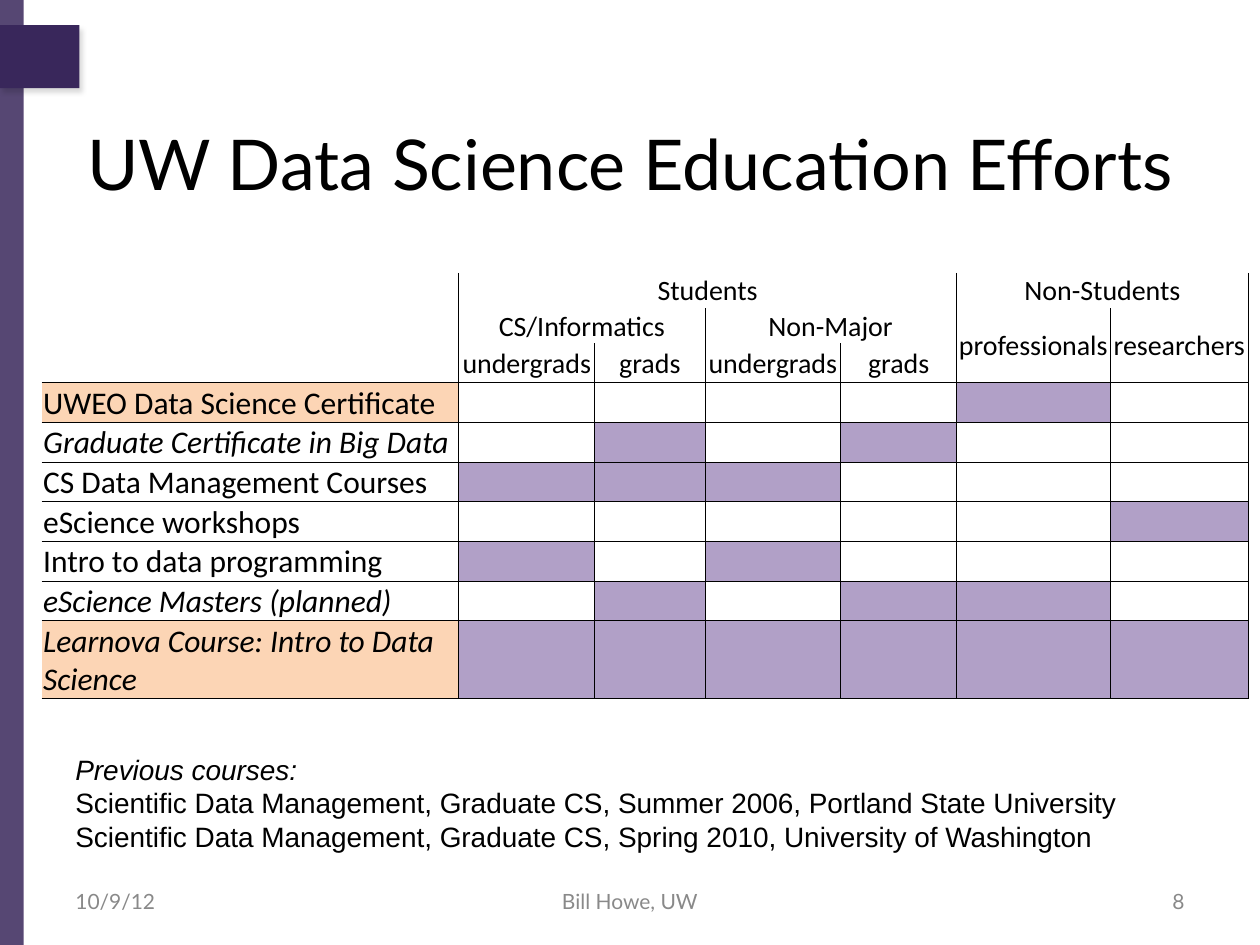
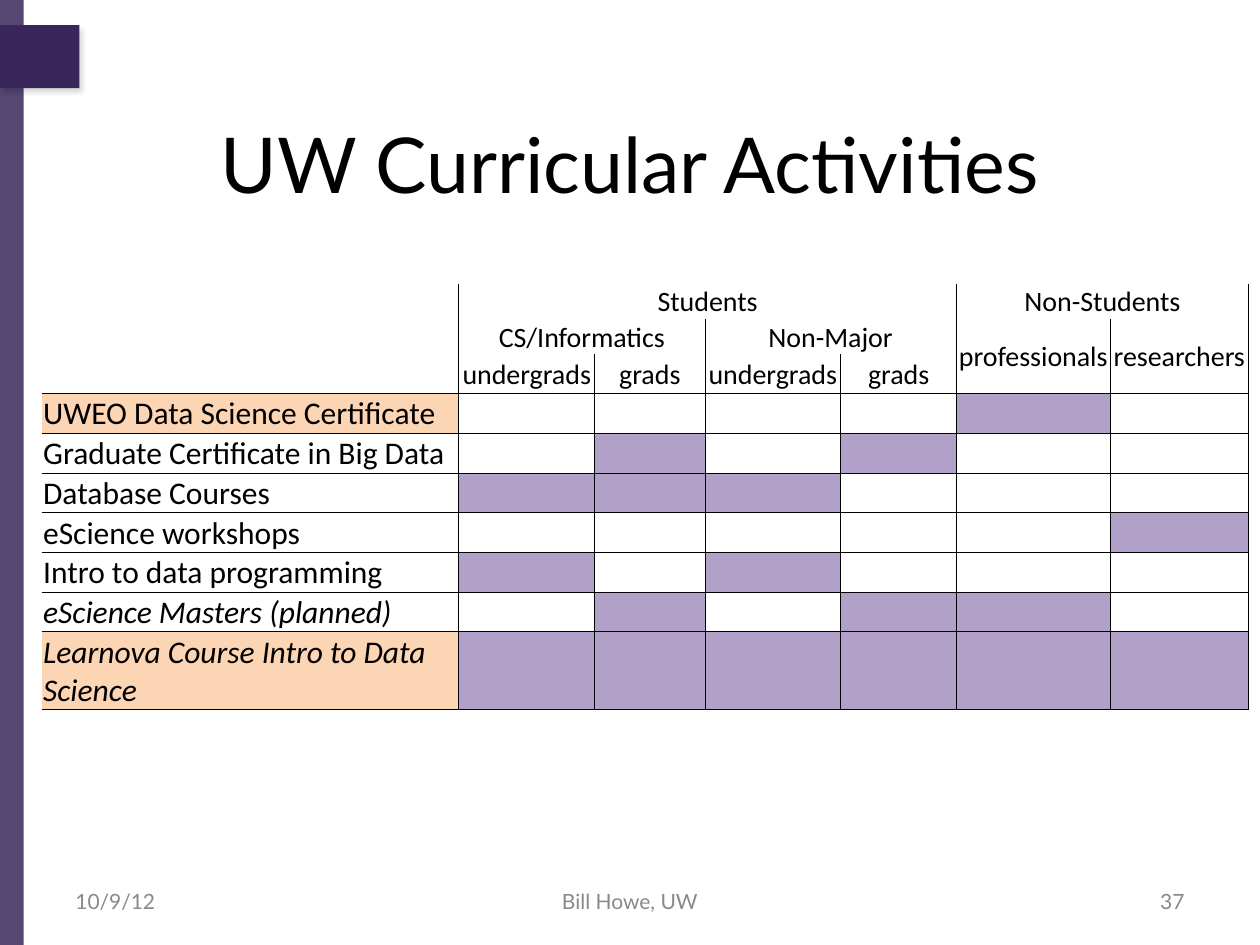
from lxml import etree
from pptx import Presentation
from pptx.dml.color import RGBColor
from pptx.enum.shapes import MSO_SHAPE
from pptx.enum.text import MSO_ANCHOR as ANCHOR, PP_ALIGN as ALIGN
from pptx.oxml.ns import qn
from pptx.util import Cm, Pt

COLORS = {
    "purple": "39275B",
    "covered": "B1A0C7",
    "highlight": "FCD5B5",
    "black": "000000",
    "footer": "898989",
}
NO_GRID_STYLE = "{2D5ABB26-0587-4C30-8999-92F81FD0307C}"
COLUMN_WIDTHS = [8.41, 2.74, 2.22, 2.74, 2.33, 3.1, 2.79]
HEADER_ROWS = 3
HEADER_HEIGHT, COURSE_HEIGHT, LAST_HEIGHT = 0.71, 0.8, 1.57
LAST_COLUMN = len(COLUMN_WIDTHS) - 1

# (row, column, row span, column span, label)
AUDIENCES = [
    (0, 0, 3, 1, ""),
    (0, 1, 1, 4, "Students"),
    (0, 5, 1, 2, "Non-Students"),
    (1, 1, 1, 2, "CS/Informatics"),
    (1, 3, 1, 2, "Non-Major"),
    (1, 5, 2, 1, "professionals"),
    (1, 6, 2, 1, "researchers"),
    (2, 1, 1, 1, "undergrads"),
    (2, 2, 1, 1, "grads"),
    (2, 3, 1, 1, "undergrads"),
    (2, 4, 1, 1, "grads"),
]
COVERAGE = [{5}, {2, 4}, {1, 2, 3}, {6}, {1, 3}, {2, 4, 5}, {1, 2, 3, 4, 5, 6}]
HIGHLIGHTED = {0, 6}

EFFORTS = [
    "UWEO Data Science Certificate",
    "Graduate Certificate in Big Data",
    "CS Data Management Courses",
    "eScience workshops",
    "Intro to data programming",
    "eScience Masters (planned)",
    "Learnova Course: Intro to Data Science",
]
ACTIVITIES = [
    "UWEO Data Science Certificate",
    "Graduate Certificate in Big Data",
    "Database Courses",
    "eScience workshops",
    "Intro to data programming",
    "eScience Masters (planned)",
    "Learnova Course Intro to Data Science",
]
PREVIOUS_COURSES = [
    "Previous courses:",
    "Scientific Data Management, Graduate CS, Summer 2006, Portland State University",
    "Scientific Data Management, Graduate CS, Spring 2010, University of Washington",
]


def rgb(name):
    """Return the named colour."""
    return RGBColor.from_string(COLORS[name])


def add_element(parent, tag, **attributes):
    """Append a drawing element with attributes to its parent."""
    element = etree.SubElement(parent, qn(tag))
    for name, value in attributes.items():
        element.set(name, str(value))
    return element


def write_text(paragraph, text, size=18, font="Lato", color="black", italic=False, align=ALIGN.LEFT):
    """Write one formatted run in a paragraph."""
    paragraph.alignment = align
    run = paragraph.add_run()
    run.text = text
    run.font.size = Pt(size)
    run.font.name = font
    run.font.italic = italic
    run.font.color.rgb = rgb(color)


def add_text_box(slide, box, lines, anchor=ANCHOR.MIDDLE, italic_lines=(), **text_format):
    """Add a wrapped text box with one paragraph per line."""
    frame = slide.shapes.add_textbox(*map(Cm, box)).text_frame
    frame.word_wrap = True
    frame.vertical_anchor = anchor
    for index, line in enumerate(lines):
        paragraph = frame.add_paragraph() if index else frame.paragraphs[0]
        write_text(paragraph, line, italic=index in italic_lines, **text_format)


def add_band(slide, box):
    """Add a plain purple rectangle."""
    shape = slide.shapes.add_shape(MSO_SHAPE.RECTANGLE, *map(Cm, box))
    shape.shadow.inherit = False
    shape.fill.solid()
    shape.fill.fore_color.rgb = rgb("purple")
    shape.line.fill.background()
    return shape


def add_side_bands(slide):
    """Add the translucent side strip and the shadowed tab."""
    strip = add_band(slide, (0, 0, 0.48, 19.05))
    strip_color = strip._element.spPr.find(qn("a:solidFill"))[0]
    add_element(strip_color, "a:alpha", val=85000)
    tab = add_band(slide, (0, 0.51, 1.6, 1.27))
    effects = tab._element.spPr.find(qn("a:effectLst"))
    shadow = add_element(effects, "a:outerShdw", blurRad=Pt(3), dist=Pt(3), dir=60 * 60000)
    shadow_color = add_element(shadow, "a:srgbClr", val=COLORS["black"])
    add_element(shadow_color, "a:alpha", val=15000)


def add_footer(slide, number):
    """Add the date, the author and the slide number."""
    for left, width, text, align in (
        (1.27, 5.93, "10/9/12", ALIGN.LEFT),
        (8.68, 8.04, "Bill Howe, UW", ALIGN.CENTER),
        (18.2, 5.93, number, ALIGN.RIGHT),
    ):
        add_text_box(slide, (left, 17.65, width, 1.02), [text], size=12, color="footer", align=align)


def start_slide(presentation, title, title_size, number):
    """Add a slide with its bands, title and footer."""
    slide = presentation.slides.add_slide(presentation.slide_layouts[6])
    add_side_bands(slide)
    add_text_box(slide, (1.27, 2.1, 22.86, 2.35), [title], size=title_size, align=ALIGN.CENTER)
    add_footer(slide, number)
    return slide


def border_sides(cell, row, column):
    """List the sides of a table cell that carry a line."""
    if cell.is_spanned:
        return ["R"] if column == LAST_COLUMN else []
    sides = ["L"] if column else []
    sides.append("R")
    if row >= HEADER_ROWS:
        sides.append("T")
    if row + (cell.span_height if cell.is_merge_origin else 1) >= HEADER_ROWS:
        sides.append("B")
    return sides


def format_cell(cell, row, column):
    """Set the insets, lines and fill of a table cell."""
    cell.margin_left = cell.margin_right = cell.margin_top = Cm(0.03)
    cell.margin_bottom = 0
    properties = cell._tc.get_or_add_tcPr()
    for side in border_sides(cell, row, column):
        line = add_element(properties, f"a:ln{side}", w=Pt(0.5))
        add_element(add_element(line, "a:solidFill"), "a:srgbClr", val=COLORS["black"])
    course = row - HEADER_ROWS
    if course >= 0 and column in COVERAGE[course]:
        fill_name = "covered"
    elif course in HIGHLIGHTED and column == 0:
        fill_name = "highlight"
    else:
        cell.fill.background()
        return
    cell.fill.solid()
    cell.fill.fore_color.rgb = rgb(fill_name)


def add_audience_table(slide, top, courses, italic_courses):
    """Add the table of courses against the audiences they reach."""
    heights = [HEADER_HEIGHT] * HEADER_ROWS + [COURSE_HEIGHT] * (len(courses) - 1) + [LAST_HEIGHT]
    box = (0.84, top, sum(COLUMN_WIDTHS), sum(heights))
    table = slide.shapes.add_table(len(heights), len(COLUMN_WIDTHS), *map(Cm, box)).table
    table.first_row = table.horz_banding = False
    table._tbl.tblPr.find(qn("a:tableStyleId")).text = NO_GRID_STYLE
    for column, width in zip(table.columns, COLUMN_WIDTHS):
        column.width = Cm(width)
    for row, height in zip(table.rows, heights):
        row.height = Cm(height)

    for row, column, row_span, column_span, label in AUDIENCES:
        cell = table.cell(row, column)
        if row_span * column_span > 1:
            cell.merge(table.cell(row + row_span - 1, column + column_span - 1))
        if label:
            cell.vertical_anchor = ANCHOR.MIDDLE if row else ANCHOR.BOTTOM
            write_text(cell.text_frame.paragraphs[0], label, size=16, font="Calibri", align=ALIGN.CENTER)
    for index, course in enumerate(courses):
        cell = table.cell(HEADER_ROWS + index, 0)
        cell.vertical_anchor = ANCHOR.BOTTOM
        write_text(cell.text_frame.paragraphs[0], course, font="Calibri", italic=index in italic_courses)
    for row in range(len(heights)):
        for column in range(len(COLUMN_WIDTHS)):
            format_cell(table.cell(row, column), row, column)


def main():
    """Build both slides and save the presentation."""
    presentation = Presentation()
    presentation.slide_width, presentation.slide_height = Cm(25.4), Cm(19.05)

    slide = start_slide(presentation, "UW Data Science Education Efforts", 40, "8")
    add_audience_table(slide, 5.5, EFFORTS, {1, 5, 6})
    add_text_box(slide, (1.27, 15.04, 23.93, 2.39), PREVIOUS_COURSES, anchor=ANCHOR.TOP,
                 italic_lines={0}, size=16, font="Arial")

    slide = start_slide(presentation, "UW Curricular Activities", 44, "37")
    add_audience_table(slide, 5.72, ACTIVITIES, {5, 6})

    presentation.save("out.pptx")


if __name__ == "__main__":
    main()
